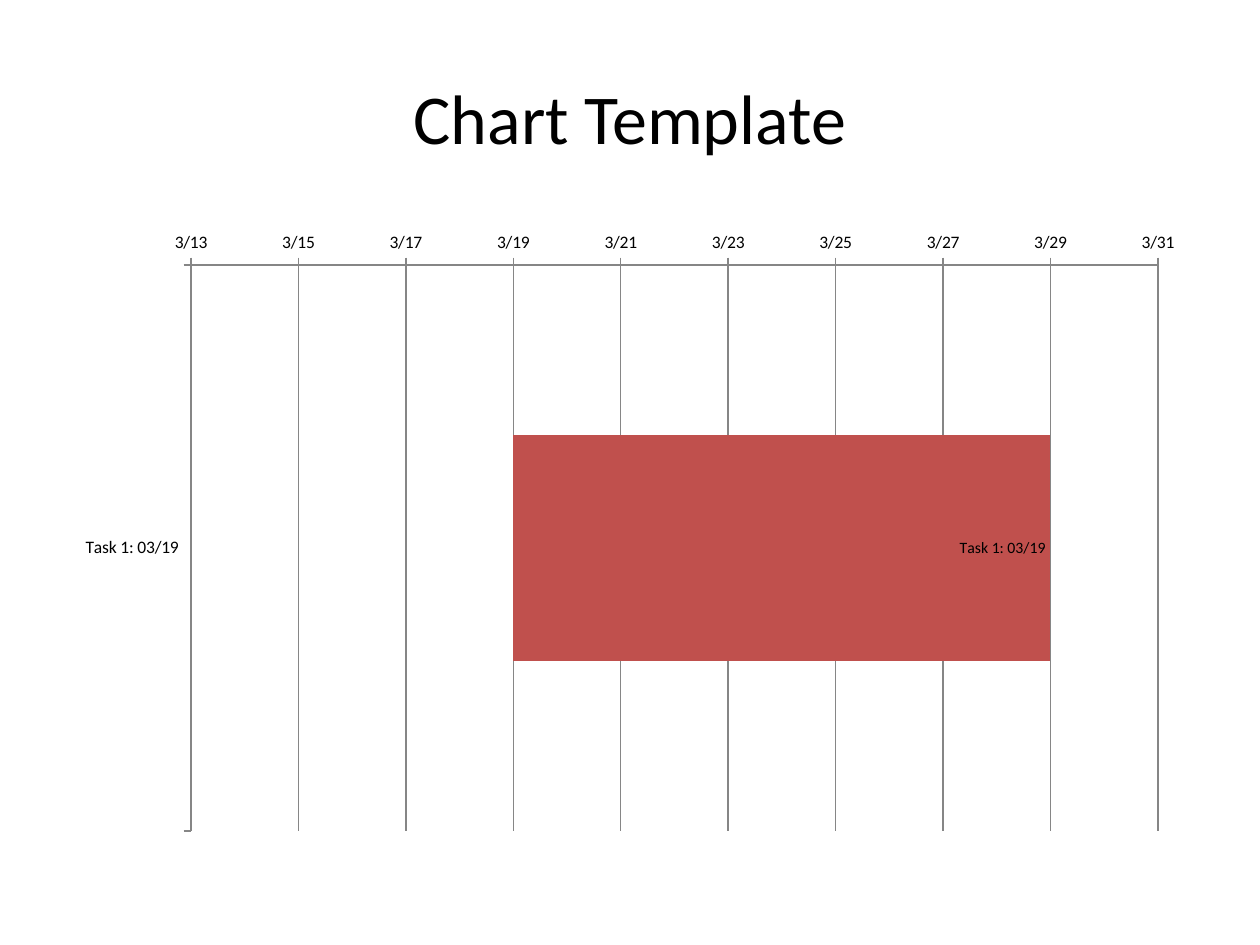
from lxml import etree
from pptx import Presentation, util as u
from pptx.chart.data import CategoryChartData
from pptx.dml.color import RGBColor
from pptx.enum import chart as ch, text
from pptx.oxml.ns import qn

PX = u.Inches(1) // 126
FONT = "Calibri"
COLORS = {"text": "000000", "line": "868686", "bar": "C0504D"}
CHART = (63, 220, 1134, 624)
PLOT = (191, 265, 967, 566)
# Day serials for the axis and the task
FIRST_DAY, LAST_DAY, STEP = 40981, 40999, 2
TASK, START, DAYS = "Task 1: 03/19", 40987, 10


def px(*values):
    return [v * PX for v in values]


def rgb(name):
    return RGBColor.from_string(COLORS[name])


def set_attrs(obj, values):
    for name, value in values.items():
        setattr(obj, name, value)


def style_font(font, size):
    set_attrs(font, {"name": FONT, "size": u.Pt(size), "bold": False})
    font.color.rgb = rgb("text")


def style_line(line):
    line.color.rgb = rgb("line")
    line.width = u.Pt(0.75)


def add_title(slide, words, box):
    tf = slide.shapes.add_textbox(*px(*box)).text_frame
    set_attrs(tf, {"word_wrap": True, "vertical_anchor": text.MSO_ANCHOR.MIDDLE})
    p = tf.paragraphs[0]
    p.alignment = text.PP_ALIGN.CENTER
    r = p.add_run()
    r.text = words
    style_font(r.font, 40)


def place_plot(chart):
    """Fix the inner plot area as fractions of the chart frame."""
    area = chart._chartSpace.chart.plotArea
    layout = area.find(qn("c:layout"))
    if layout is None:
        layout = etree.Element(qn("c:layout"))
        area.insert(0, layout)
    left, top, width, height = CHART
    x, y, w, h = PLOT
    values = {"layoutTarget": "inner", "xMode": "edge", "yMode": "edge",
              "x": round((x - left) / width, 4), "y": round((y - top) / height, 4),
              "w": round(w / width, 4), "h": round(h / height, 4)}
    manual = etree.SubElement(layout, qn("c:manualLayout"))
    for tag, value in values.items():
        etree.SubElement(manual, qn(f"c:{tag}")).set("val", str(value))


def style_axis(axis, values):
    set_attrs(axis, {"major_tick_mark": ch.XL_TICK_MARK.OUTSIDE,
                     "minor_tick_mark": ch.XL_TICK_MARK.NONE, **values})
    style_line(axis.format.line)
    style_font(axis.tick_labels.font, 10)


def add_gantt(slide):
    data = CategoryChartData()
    data.categories = [TASK]
    data.add_series("Series 1", [START])
    data.add_series("Series 2", [DAYS])
    chart = slide.shapes.add_chart(
        ch.XL_CHART_TYPE.BAR_STACKED, *px(*CHART), data).chart
    set_attrs(chart, {"has_legend": False, "has_title": False})
    style_font(chart.font, 10)
    place_plot(chart)

    # Axes
    style_axis(chart.category_axis,
               {"reverse_order": True, "has_major_gridlines": False})
    days = chart.value_axis
    style_axis(days, {"minimum_scale": FIRST_DAY, "maximum_scale": LAST_DAY,
                      "major_unit": STEP, "has_major_gridlines": True})
    style_line(days.major_gridlines.format.line)
    set_attrs(days.tick_labels, {"number_format": "m/d;@",
                                 "number_format_is_linked": False})

    # Invisible offset, then the visible duration
    plot = chart.plots[0]
    set_attrs(plot, {"gap_width": 150, "overlap": 100, "vary_by_categories": False})
    offset, duration = plot.series
    offset.format.fill.background()
    offset.format.line.fill.background()
    duration.format.fill.solid()
    duration.format.fill.fore_color.rgb = rgb("bar")
    labels = duration.data_labels
    set_attrs(labels, {"show_category_name": True, "show_value": False,
                       "position": ch.XL_LABEL_POSITION.INSIDE_END})
    style_font(labels.font, 9)


def main():
    prs = Presentation()
    prs.slide_width, prs.slide_height = px(1260, 945)
    slide = prs.slides.add_slide(prs.slide_layouts[6])
    add_title(slide, "Chart Template", (63, 38, 1134, 157))
    add_gantt(slide)
    prs.save("out.pptx")


if __name__ == "__main__":
    main()
